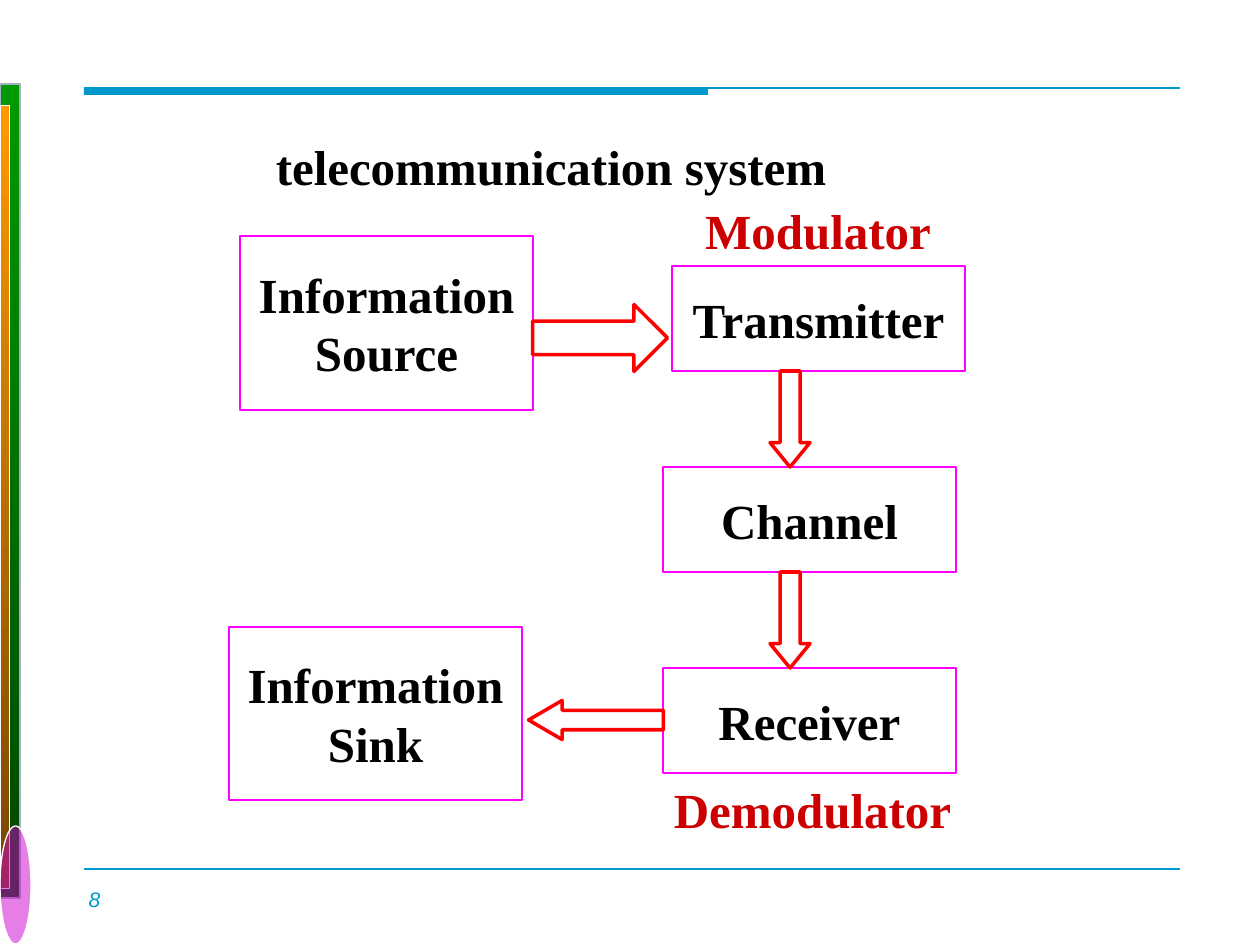
from dataclasses import dataclass

from lxml.etree import SubElement
from pptx import Presentation
from pptx.dml.color import RGBColor
from pptx.enum.shapes import MSO_CONNECTOR, MSO_SHAPE
from pptx.enum.text import MSO_ANCHOR, PP_ALIGN
from pptx.oxml.ns import qn
from pptx.util import Emu, Pt

PX_PER_INCH = 126


def px(n):
    return Emu(round(n * 914400 / PX_PER_INCH))


def rgb(color):
    return RGBColor.from_string(color)


@dataclass(frozen=True)
class Theme:
    serif: str = "Times New Roman"
    sans: str = "Arial"
    body_size: int = 28
    number_size: int = 12
    ink: str = "000000"
    role: str = "CC0000"
    rule: str = "0099CC"
    box: str = "FF00FF"
    arrow: str = "FF0000"
    edge: str = "A3B2C1"
    white: str = "FFFFFF"
    green: tuple = ("009900", "004600")
    orange: tuple = ("FF9900", "754600")
    ellipse: str = "CC00CC"


THEME = Theme()


def write(shape, text, size=THEME.body_size, font=THEME.serif, color=THEME.ink,
          bold=True, italic=False, anchor=MSO_ANCHOR.TOP, inset=(13, 6), wrap=True):
    """Fill the shape with one centred paragraph per line of text."""
    tf = shape.text_frame
    tf.word_wrap = wrap
    tf.vertical_anchor = anchor
    tf.margin_left = tf.margin_right = px(inset[0])
    tf.margin_top = tf.margin_bottom = px(inset[1])
    for i, line in enumerate(text.split("\n")):
        p = tf.add_paragraph() if i else tf.paragraphs[0]
        p.alignment = PP_ALIGN.CENTER
        r = p.add_run()
        r.text = line
        r.font.size, r.font.name = Pt(size), font
        r.font.bold, r.font.italic = bold, italic
        r.font.color.rgb = rgb(color)


class Deck:
    def __init__(self, theme):
        self.theme = theme
        self.prs = Presentation()
        self.prs.slide_width, self.prs.slide_height = px(1260), px(945)
        self.s = self.prs.slides.add_slide(self.prs.slide_layouts[5])

    def title(self, text, x, y, w, h):
        sp = self.s.shapes.title
        sp.left, sp.top, sp.width, sp.height = map(px, (x, y, w, h))
        write(sp, text, inset=(0, 6), wrap=False)

    def shape(self, kind, x, y, w, h, fill=None, alpha=None, line=None, width=1):
        """Add a preset shape; a pair of fill colours runs from top to bottom."""
        sp = self.s.shapes.add_shape(kind, *map(px, (x, y, w, h)))
        sp.shadow.inherit = False
        if fill is None:
            sp.fill.background()
        elif isinstance(fill, tuple):
            sp.fill.gradient()
            sp.fill.gradient_angle = 270
            for stop, color in zip(sp.fill.gradient_stops, fill):
                stop.color.rgb = rgb(color)
        else:
            sp.fill.solid()
            sp.fill.fore_color.rgb = rgb(fill)
        if alpha is not None:
            color = next(sp.fill._xPr.iter(qn("a:srgbClr")))
            SubElement(color, qn("a:alpha"), val=str(alpha * 1000))
        if line is None:
            sp.line.fill.background()
        else:
            sp.line.color.rgb = rgb(line)
            sp.line.width = Pt(width)
        return sp

    def rule(self, x1, x2, y):
        c = self.s.shapes.add_connector(MSO_CONNECTOR.STRAIGHT, px(x1), px(y), px(x2), px(y))
        c.line.color.rgb = rgb(self.theme.rule)
        c.line.width = Pt(1)
        SubElement(c._element.spPr, qn("a:effectLst"))

    def box(self, text, x, y, h):
        sp = self.shape(MSO_SHAPE.RECTANGLE, x, y, 293, h, line=self.theme.box)
        write(sp, text, anchor=MSO_ANCHOR.MIDDLE, inset=(0, 0), wrap=False)

    def arrow(self, cx, cy, length, thickness, head, rotation=0):
        """Add a block arrow centred on (cx, cy)."""
        sp = self.shape(MSO_SHAPE.RIGHT_ARROW, cx - length / 2, cy - thickness / 2,
                        length, thickness, line=self.theme.arrow, width=2)
        sp.adjustments[0], sp.adjustments[1] = 0.5, head
        sp.rotation = rotation

    def label(self, text, x, y, w, h, **style):
        write(self.s.shapes.add_textbox(*map(px, (x, y, w, h))), text, **style)


def main():
    t = THEME
    deck = Deck(t)

    deck.shape(MSO_SHAPE.RECTANGLE, 84, 87, 624, 8, fill=t.rule)
    for y in (88, 869):
        deck.rule(84, 1180, y)
    deck.shape(MSO_SHAPE.RECTANGLE, 0, 84, 20, 814, fill=t.green, line=t.edge, width=0.75)
    deck.shape(MSO_SHAPE.RECTANGLE, 0, 105, 10, 784, fill=t.orange, line=t.white, width=0.5)
    deck.shape(MSO_SHAPE.OVAL, 0, 826, 31, 118, fill=t.ellipse, alpha=50,
               line=t.white, width=0.75)

    deck.title("telecommunication system", 263, 130, 576, 72)

    for text, x, y, h in (
        ("Information\nSource", 240, 236, 174),
        ("Transmitter", 672, 266, 105),
        ("Channel", 663, 467, 105),
        ("Receiver", 663, 668, 105),
        ("Information\nSink", 229, 627, 173),
    ):
        deck.box(text, x, y, h)

    deck.arrow(600, 338, 135, 67, 0.5)
    for cy in (419, 620):
        deck.arrow(790, cy, 96, 40, 0.61, rotation=90)
    deck.arrow(596, 720, 135, 39, 0.86, rotation=180)

    deck.label("Modulator", 663, 194, 310, 72, color=t.role)
    deck.label("Demodulator", 646, 773, 333, 72, color=t.role)
    deck.label("8", 25, 881, 139, 38, size=t.number_size, font=t.sans,
               color=t.rule, bold=False, italic=True)

    deck.prs.save("out.pptx")


if __name__ == "__main__":
    main()
